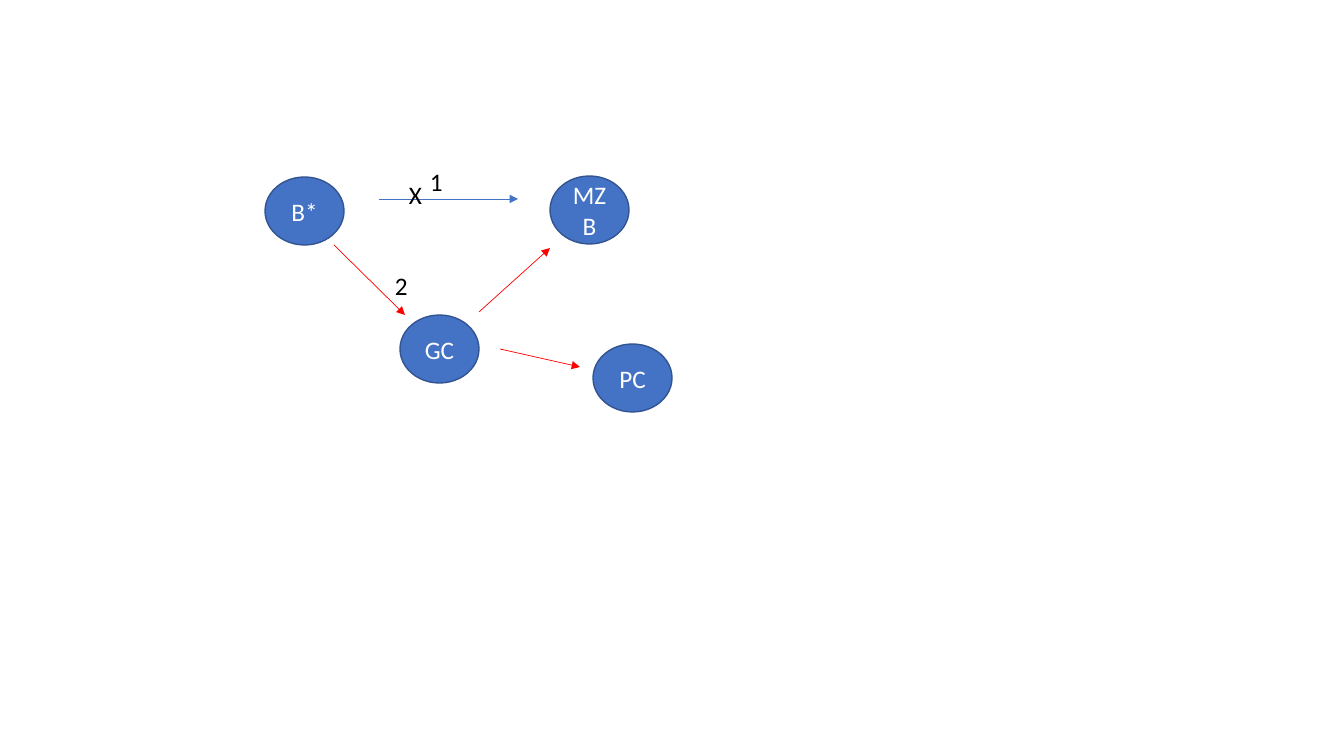
from lxml.etree import SubElement
from pptx import Presentation
from pptx.dml.color import RGBColor
from pptx.enum.shapes import MSO_CONNECTOR, MSO_SHAPE
from pptx.enum.text import MSO_ANCHOR as Anchor, MSO_AUTO_SIZE as AutoSize, PP_ALIGN as Align
from pptx.oxml.ns import qn
from pptx.util import Emu, Pt

BLUE = RGBColor(0x44, 0x72, 0xC4)
DARK_BLUE = RGBColor(0x32, 0x54, 0x91)
RED = RGBColor(0xFF, 0x00, 0x00)
WHITE = RGBColor(0xFF, 0xFF, 0xFF)
BLACK = RGBColor(0x00, 0x00, 0x00)

PX_PER_INCH = 100.8
SLIDE_SIZE = (1344, 756)
CELL_SIZE = (79, 68)
LABEL_SIZE = (33, 40)

# text, left, top
CELLS = [
    ("B*", 265, 177),
    ("MZB", 550, 176),
    ("GC", 400, 315),
    ("PC", 593, 344),
]
# start x, start y, end x, end y, colour
PATHWAYS = [
    (379, 199, 518, 199, BLUE),
    (334, 245, 405, 315, RED),
    (500, 349, 580, 367, RED),
    (479, 312, 550, 248, RED),
]
# text, left, top
LABELS = [
    ("1", 420, 161),
    ("2", 385, 265),
    ("X", 399, 174),
]


def px(*lengths):
    """Turn px lengths into EMU."""
    return [Emu(round(length * 914400 / PX_PER_INCH)) for length in lengths]


def write(frame, text, color=BLACK, align=Align.LEFT, anchor=Anchor.TOP, wrap=True):
    frame.word_wrap = wrap
    frame.vertical_anchor = anchor
    paragraph = frame.paragraphs[0]
    paragraph.alignment = align
    run = paragraph.add_run()
    run.text = text
    run.font.name = "Calibri"
    run.font.size = Pt(18)
    run.font.color.rgb = color


def add_cell(slide, text, left, top):
    cell = slide.shapes.add_shape(MSO_SHAPE.OVAL, *px(left, top, *CELL_SIZE))
    cell.shadow.inherit = False
    cell.fill.solid()
    cell.fill.fore_color.rgb = BLUE
    cell.line.color.rgb = DARK_BLUE
    cell.line.width = Pt(1)
    write(cell.text_frame, text, color=WHITE, align=Align.CENTER, anchor=Anchor.MIDDLE)


def add_arrow(slide, *ends, color):
    arrow = slide.shapes.add_connector(MSO_CONNECTOR.STRAIGHT, *px(*ends))
    arrow.line.color.rgb = color
    arrow.line.width = Pt(0.5)
    SubElement(arrow.line._get_or_add_ln(), qn("a:tailEnd"), type="triangle")
    SubElement(arrow._element.spPr, qn("a:effectLst"))


def add_label(slide, text, left, top):
    label = slide.shapes.add_textbox(*px(left, top, *LABEL_SIZE))
    write(label.text_frame, text, wrap=False)
    label.text_frame.auto_size = AutoSize.SHAPE_TO_FIT_TEXT


def main():
    deck = Presentation()
    deck.slide_width, deck.slide_height = px(*SLIDE_SIZE)
    slide = deck.slides.add_slide(deck.slide_layouts[6])
    for cell in CELLS:
        add_cell(slide, *cell)
    for *ends, color in PATHWAYS:
        add_arrow(slide, *ends, color=color)
    for label in LABELS:
        add_label(slide, *label)
    deck.save("out.pptx")


if __name__ == "__main__":
    main()
